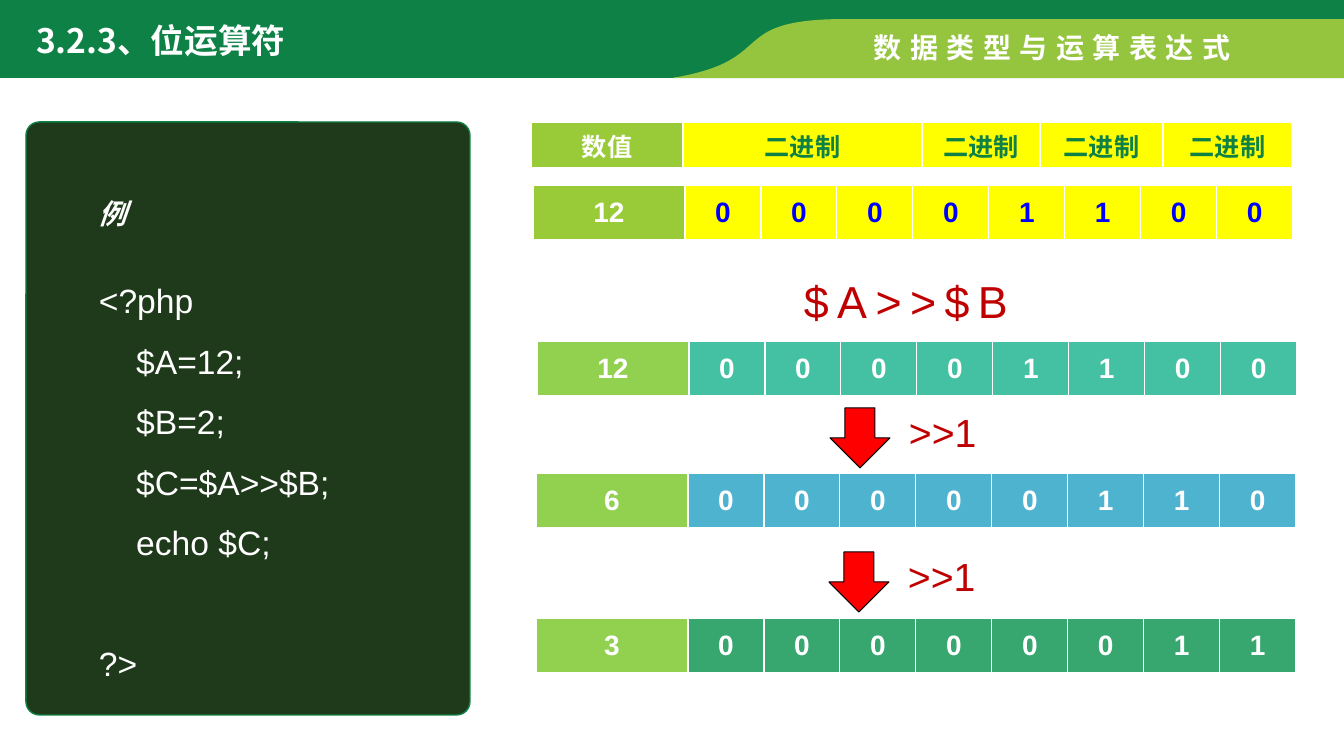
from lxml.etree import SubElement
from pptx import Presentation
from pptx.dml.color import RGBColor
from pptx.enum.shapes import MSO_SHAPE as Shape
from pptx.enum.text import MSO_ANCHOR as Anchor, MSO_AUTO_SIZE as AutoSize, PP_ALIGN as Align
from pptx.oxml.ns import qn
from pptx.util import Pt

PX = 9071  # EMU per pixel

WHITE = RGBColor(0xFF, 0xFF, 0xFF)
BLACK = RGBColor(0x00, 0x00, 0x00)
GREEN = RGBColor(0x0E, 0x81, 0x46)
LIGHT_GREEN = RGBColor(0x95, 0xC5, 0x3E)
CARD_GREEN = RGBColor(0x1E, 0x3A, 0x1A)
LIME = RGBColor(0x99, 0xCB, 0x38)
LABEL_GREEN = RGBColor(0x92, 0xD0, 0x50)
YELLOW = RGBColor(0xFF, 0xFF, 0x00)
BLUE = RGBColor(0x00, 0x00, 0xFF)
TEAL = RGBColor(0x44, 0xC1, 0xA3)
SKY = RGBColor(0x4E, 0xB3, 0xCF)
SEA_GREEN = RGBColor(0x37, 0xA7, 0x6F)
RED = RGBColor(0xFF, 0x00, 0x00)
DARK_RED = RGBColor(0xC0, 0x00, 0x00)

CJK_FONT = "Noto Sans CJK SC"


def style_text(paragraph, size, color, bold=False, font_name="Arial", tracking=0):
    """Format every run; tracking is the letter spacing in points."""
    for run in paragraph.runs:
        font = run.font
        font.size, font.bold, font.name = Pt(size), bold, font_name
        font.color.rgb = color
        properties = run._r.get_or_add_rPr()
        SubElement(properties, qn("a:ea")).set("typeface", CJK_FONT)
        if tracking:
            properties.set("spc", str(tracking * 100))


def curve(start, control_1, control_2, end, steps=32):
    """Return points along a cubic Bezier curve."""
    points = []
    for step in range(steps + 1):
        t = step / steps
        weights = ((1 - t) ** 3, 3 * t * (1 - t) ** 2, 3 * t * t * (1 - t), t ** 3)
        controls = (start, control_1, control_2, end)
        points.append(tuple(sum(w * c[axis] for w, c in zip(weights, controls))
                            for axis in (0, 1)))
    return points


presentation = Presentation()
presentation.slide_width = 1344 * PX
presentation.slide_height = 756 * PX
slide = presentation.slides.add_slide(presentation.slide_layouts[5])
shapes = slide.shapes
title = shapes.title

# Header bands
dark_band = [(0, 0), (1344, 0), (1344, 24), (834, 24),
             *curve((815, 28), (733, 44), (776, 78), (660, 78)), (0, 78)]
light_band = [(1344, 19), (1344, 78), *curve((672, 78), (781, 60), (723, 19), (846, 19))]
for outline, color in ((dark_band, GREEN), (light_band, LIGHT_GREEN)):
    points = [(x * PX, y * PX) for x, y in outline]
    builder = shapes.build_freeform(*points[0], scale=1.0)
    builder.add_line_segments(points[1:], close=True)
    band = builder.convert_to_shape()
    band.shadow.inherit = False
    band.fill.solid()
    band.fill.fore_color.rgb = color
    band.line.fill.background()

# Title, brought in front of the bands
shapes._spTree.append(title._element)
title.left, title.top, title.width, title.height = 26 * PX, 15 * PX, 380 * PX, 50 * PX
title.text_frame.text = "3.2.3、位运算符"
title.text_frame.vertical_anchor = Anchor.TOP
title.text_frame.auto_size = AutoSize.NONE
title_paragraph = title.text_frame.paragraphs[0]
title_paragraph.alignment = Align.LEFT
style_text(title_paragraph, 24, WHITE, bold=True, font_name=CJK_FONT)

# Code card and arrows
for kind, left, top, width, height, fill, line, line_width in (
    (Shape.ROUNDED_RECTANGLE, 26, 122, 444, 593, CARD_GREEN, GREEN, 1),
    (Shape.DOWN_ARROW, 830, 408, 60, 60, RED, BLACK, 0.75),
    (Shape.DOWN_ARROW, 829, 552, 60, 60, RED, BLACK, 0.75),
):
    shape = shapes.add_shape(kind, left * PX, top * PX, width * PX, height * PX)
    shape.shadow.inherit = False
    shape.fill.solid()
    shape.fill.fore_color.rgb = fill
    shape.line.color.rgb = line
    shape.line.width = Pt(line_width)
    if kind == Shape.ROUNDED_RECTANGLE:
        shape.adjustments[0] = 0.03

# Single-line labels
for text, left, top, width, height, wrap, size, color, bold, tracking in (
    ("数据类型与运算表达式", 864, 26, 388, 44, False, 20, WHITE, True, 6),
    ("例", 89, 192, 24, 50, True, 20, WHITE, True, 6),
    ("$A>>$B", 794, 269, 263, 64, True, 32, DARK_RED, False, 6),
    (">>1", 899, 403, 89, 57, False, 28, DARK_RED, False, 0),
    (">>1", 898, 547, 89, 57, False, 28, DARK_RED, False, 0),
):
    label = shapes.add_textbox(left * PX, top * PX, width * PX, height * PX)
    label.text_frame.word_wrap = wrap
    label.text_frame.auto_size = AutoSize.SHAPE_TO_FIT_TEXT
    paragraph = label.text_frame.paragraphs[0]
    paragraph.text = text
    style_text(paragraph, size, color, bold, tracking=tracking)
    if text == "例":
        paragraph.alignment = Align.CENTER
        paragraph.runs[0].font.italic = True

# PHP listing
code = shapes.add_textbox(89 * PX, 255 * PX, 348 * PX, 437 * PX)
code.text_frame.word_wrap = True
code.text_frame.text = "\n".join((
    "<?php",
    "    $A=12;",
    "    $B=2;",
    "    $C=$A>>$B;",
    "    echo $C;",
    "?>",
))
for paragraph in code.text_frame.paragraphs:
    paragraph.line_spacing = 1.5
    style_text(paragraph, 24, WHITE)
code.text_frame.paragraphs[-1].space_before = Pt(43)

# One-row tables: a label cell followed by value cells
HEADER_WIDTHS = (152, 239, 118, 123, 129)
BIT_WIDTHS = (152,) + (76,) * 8
for texts, left, top, height, widths, size, label_fill, value_fill, value_color in (
    (["12", *"00001100"], 533, 185, 56, BIT_WIDTHS, 20, LIME, YELLOW, BLUE),
    (["数值"] + ["二进制"] * 4, 531, 122, 47, HEADER_WIDTHS, 18, LIME, YELLOW, GREEN),
    (["12", *"00001100"], 537, 341, 56, BIT_WIDTHS, 20, LABEL_GREEN, TEAL, WHITE),
    (["6", *"00000110"], 536, 473, 56, BIT_WIDTHS, 20, LABEL_GREEN, SKY, WHITE),
    (["3", *"00000011"], 536, 618, 56, BIT_WIDTHS, 20, LABEL_GREEN, SEA_GREEN, WHITE),
):
    table = shapes.add_table(1, len(texts), left * PX, top * PX,
                             sum(widths) * PX, height * PX).table
    table.first_row = table.horz_banding = False
    for index, (text, width) in enumerate(zip(texts, widths)):
        table.columns[index].width = width * PX
        cell = table.cell(0, index)
        cell.vertical_anchor = Anchor.MIDDLE
        for edge, points in (("L", 1), ("R", 1), ("T", 1), ("B", 3)):
            border = SubElement(cell._tc.get_or_add_tcPr(), qn(f"a:ln{edge}"))
            border.set("w", str(Pt(points)))
            border_fill = SubElement(border, qn("a:solidFill"))
            SubElement(border_fill, qn("a:srgbClr")).set("val", str(WHITE))
        cell.fill.solid()
        cell.fill.fore_color.rgb = value_fill if index else label_fill
        paragraph = cell.text_frame.paragraphs[0]
        paragraph.text = text
        paragraph.alignment = Align.CENTER
        style_text(paragraph, size, value_color if index else WHITE, bold=True)

presentation.save("out.pptx")
